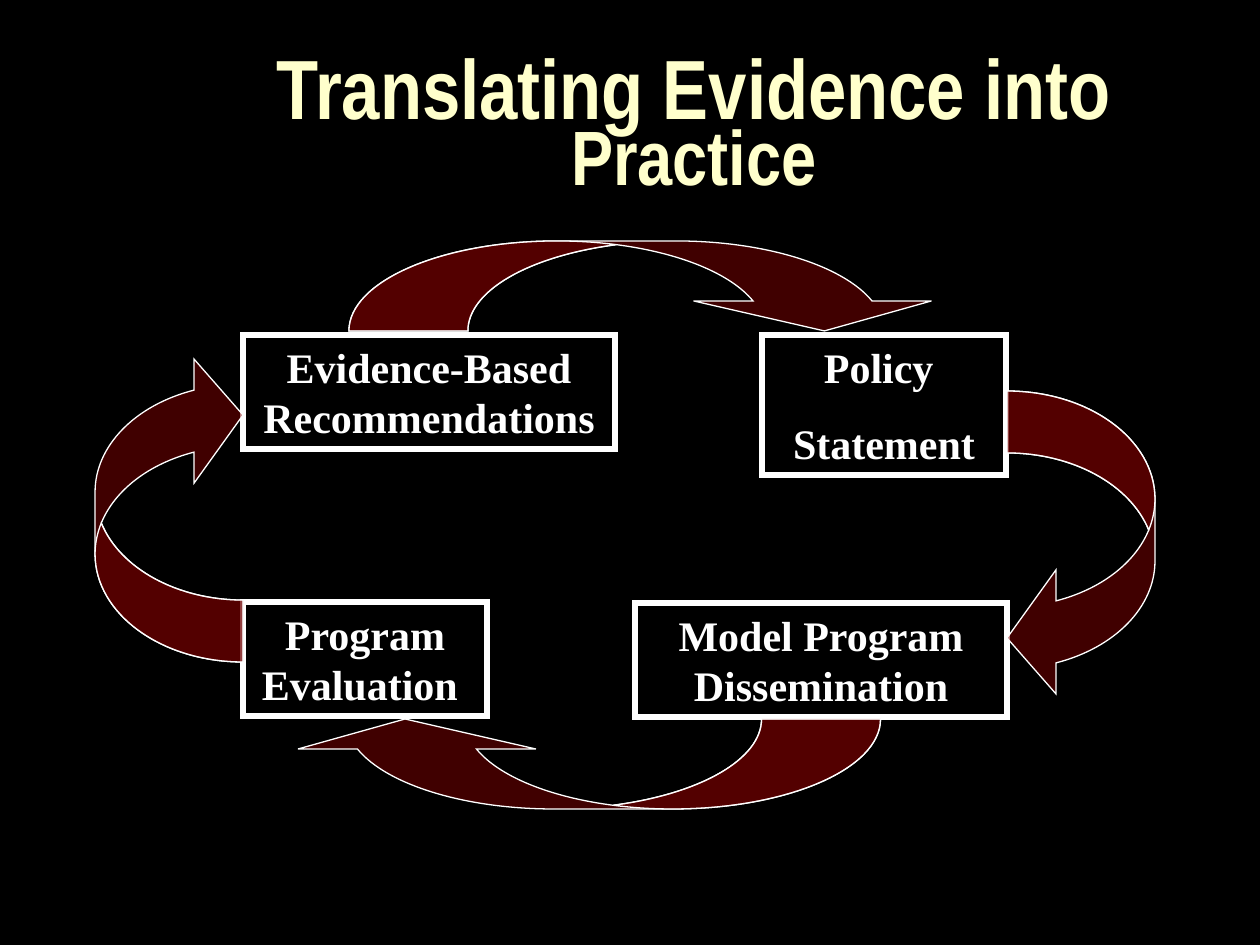
from copy import deepcopy
from dataclasses import dataclass
from math import acos, asin, cos, pi, sin, tan

from lxml.etree import SubElement
from pptx import Presentation
from pptx.dml.color import RGBColor
from pptx.enum.shapes import MSO_SHAPE
from pptx.enum.text import MSO_ANCHOR, MSO_AUTO_SIZE, PP_ALIGN
from pptx.oxml.ns import qn
from pptx.util import Inches, Pt

PX = 914400 / 126  # EMU in one px
COLORS = {"black": "000000", "white": "FFFFFF", "cream": "FFFFCC", "maroon": "800000"}
TITLE_FONT = {"name": "Arial Narrow", "bold": True}
BOX_FONT = {"name": "Times New Roman", "bold": True, "size": Pt(24)}

Point = tuple[float, float]
Segment = list[Point]  # one point for a line, three for a curve


@dataclass
class Step:
    left: int
    top: int
    width: int
    height: int
    lines: tuple[str, ...]


@dataclass
class Band:
    """Proportions of a curved arrow."""
    radius: int     # half-axis of the arcs along the arrow
    depth: int      # half-axis of the arcs across the arrow
    thickness: int
    head: int       # length of the arrowhead
    upright: bool


@dataclass
class Arrow:
    left: int
    top: int
    band: Band
    rotation: int = 0


WIDE = Band(radius=208, depth=90, thickness=119, head=30, upright=False)
TALL = Band(radius=108, depth=148, thickness=62, head=49, upright=True)
STEPS = [
    Step(243, 335, 372, 114, ("Evidence-Based Recommendations",)),
    Step(762, 335, 244, 140, ("Policy ", "Statement")),
    Step(635, 603, 372, 114, ("Model Program Dissemination",)),
    Step(243, 602, 244, 114, ("Program Evaluation ",)),
]
ARROWS = [
    Arrow(349, 241, WIDE),
    Arrow(1007, 391, TALL),
    Arrow(286, 719, WIDE, rotation=180),
    Arrow(95, 353, TALL, rotation=180),
]


def color(name: str) -> RGBColor:
    return RGBColor.from_string(COLORS[name])


def emu(px: float) -> int:
    return round(px * PX)


def style_font(font, formats: dict, color_name: str) -> None:
    for name, value in formats.items():
        setattr(font, name, value)
    font.color.rgb = color(color_name)


def style_shape(shape, fill: str, line_width: float) -> None:
    shape.shadow.inherit = False
    shape.fill.solid()
    shape.fill.fore_color.rgb = color(fill)
    shape.line.color.rgb = color("white")
    shape.line.width = Pt(line_width)
    SubElement(shape.line._ln, qn("a:miter"), lim="800000")


def add_title(page) -> None:
    title = page.shapes.title
    title.left, title.top, title.width, title.height = map(emu, (199, 32, 990, 198))
    frame = title.text_frame
    frame.auto_size = MSO_AUTO_SIZE.NONE
    frame.vertical_anchor = MSO_ANCHOR.MIDDLE
    para = frame.paragraphs[0]
    para.alignment = PP_ALIGN.CENTER
    para.line_spacing = 0.7
    for text, size in (("Translating Evidence into ", 48), ("Practice", 44)):
        span = para.add_run()
        span.text = text
        style_font(span.font, {**TITLE_FONT, "size": Pt(size)}, "cream")


def add_step(page, step: Step) -> None:
    area = map(emu, (step.left, step.top, step.width, step.height))
    box = page.shapes.add_shape(MSO_SHAPE.RECTANGLE, *area)
    style_shape(box, "black", 3)
    frame = box.text_frame
    frame.word_wrap = True
    frame.auto_size = MSO_AUTO_SIZE.SHAPE_TO_FIT_TEXT
    frame.vertical_anchor = MSO_ANCHOR.TOP
    for number, line in enumerate(step.lines):
        para = frame.add_paragraph() if number else frame.paragraphs[0]
        para.alignment = PP_ALIGN.CENTER
        if number:
            para.space_before = Pt(15)
        span = para.add_run()
        span.text = line
        style_font(span.font, BOX_FONT, "white")


def arc(band: Band, center: float, first: float, last: float) -> Segment:
    """Two control points and the end of an elliptical arc."""
    pull = 4 / 3 * tan((last - first) / 4)
    units = [
        (cos(first) - pull * sin(first), sin(first) + pull * cos(first)),
        (cos(last) + pull * sin(last), sin(last) - pull * cos(last)),
        (cos(last), sin(last)),
    ]
    return [(center + band.radius * x, band.depth * y) for x, y in units]


def band_outlines(band: Band) -> tuple[list[Segment], list[Segment]]:
    """Whole arrow and its tail, as (distance along, height above the base)."""
    near, far = band.radius, band.radius + band.thickness
    half = band.thickness / 2
    crossing = acos(half / band.radius)
    neck = asin(band.head / band.depth)
    reach = band.radius * cos(neck)
    start = [[(0, 0)], arc(band, near, pi, pi / 2)]
    inner_tail = arc(band, far, pi - crossing, pi)
    whole = [
        *start,
        [(far, band.depth)],
        arc(band, far, pi / 2, neck),
        [(far + reach + half, band.head)],
        [(2 * band.radius + half, 0)],
        [(near + reach - half, band.head)],
        [(near + reach, band.head)],
        arc(band, near, neck, crossing),
        inner_tail,
    ]
    return whole, [*start, arc(band, near, pi / 2, crossing), inner_tail]


def bend_curves(contour, segments: list[Segment]) -> None:
    """Turn the points of each curve segment into one Bézier element."""
    lines = iter(contour.findall(qn("a:lnTo")))
    for segment in segments[1:]:
        first, *others = [next(lines) for _ in segment]
        if others:
            first.tag = qn("a:cubicBezTo")
        for line in others:
            first.append(line[0])
            contour.remove(line)


def split_contours(whole):
    """Move the second contour to a path of its own, in a darker fill."""
    tail = deepcopy(whole)
    whole.addnext(tail)
    tail.set("fill", "darkenLess")
    split = whole.index(whole.find(qn("a:close"))) + 1
    for part in whole[split:]:
        whole.remove(part)
    for part in tail[:split]:
        tail.remove(part)
    return whole, tail


def add_arrow(page, arrow: Arrow) -> None:
    band = arrow.band

    def place(point: Point) -> tuple[int, int]:
        along, height = point
        if band.upright:
            return emu(arrow.left + height), emu(arrow.top + along)
        return emu(arrow.left + along), emu(arrow.top + band.depth - height)

    outlines = band_outlines(band)
    whole, tail = ([place(p) for part in line for p in part] for line in outlines)
    builder = page.shapes.build_freeform(*whole[0], scale=1.0)
    builder.add_line_segments(whole[1:], close=True)
    builder.move_to(*tail[0])
    builder.add_line_segments(tail[1:], close=True)
    shape = builder.convert_to_shape()
    style_shape(shape, "maroon", 0.75)
    fill_color = shape._element.spPr.find(qn("a:solidFill"))[0]
    SubElement(fill_color, qn("a:alpha"), val="50000")

    length = emu(2 * band.radius + 1.5 * band.thickness)
    side, key = ("height", "h") if band.upright else ("width", "w")
    setattr(shape, side, length)
    outline = shape._element.find(".//" + qn("a:path"))
    outline.set(key, str(length))
    for contour, segments in zip(split_contours(outline), outlines):
        bend_curves(contour, segments)
    shape.rotation = arrow.rotation


def main() -> None:
    deck = Presentation()
    deck.slide_width, deck.slide_height = Inches(10), Inches(7.5)
    page = deck.slides.add_slide(deck.slide_layouts[5])
    page.background.fill.solid()
    page.background.fill.fore_color.rgb = color("black")
    add_title(page)
    for step in STEPS:
        add_step(page, step)
    for arrow in ARROWS:
        add_arrow(page, arrow)
    deck.save("out.pptx")


if __name__ == "__main__":
    main()
